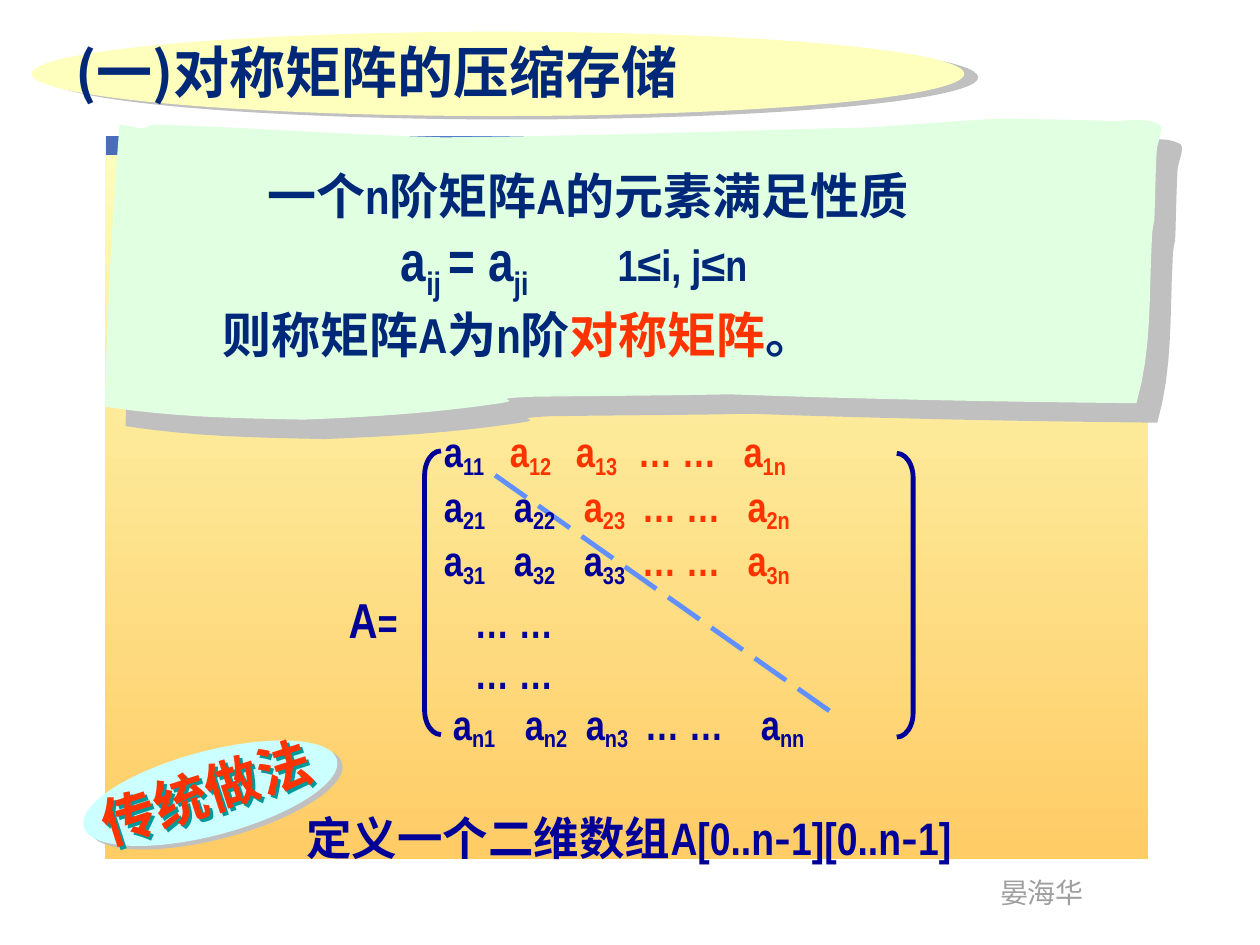
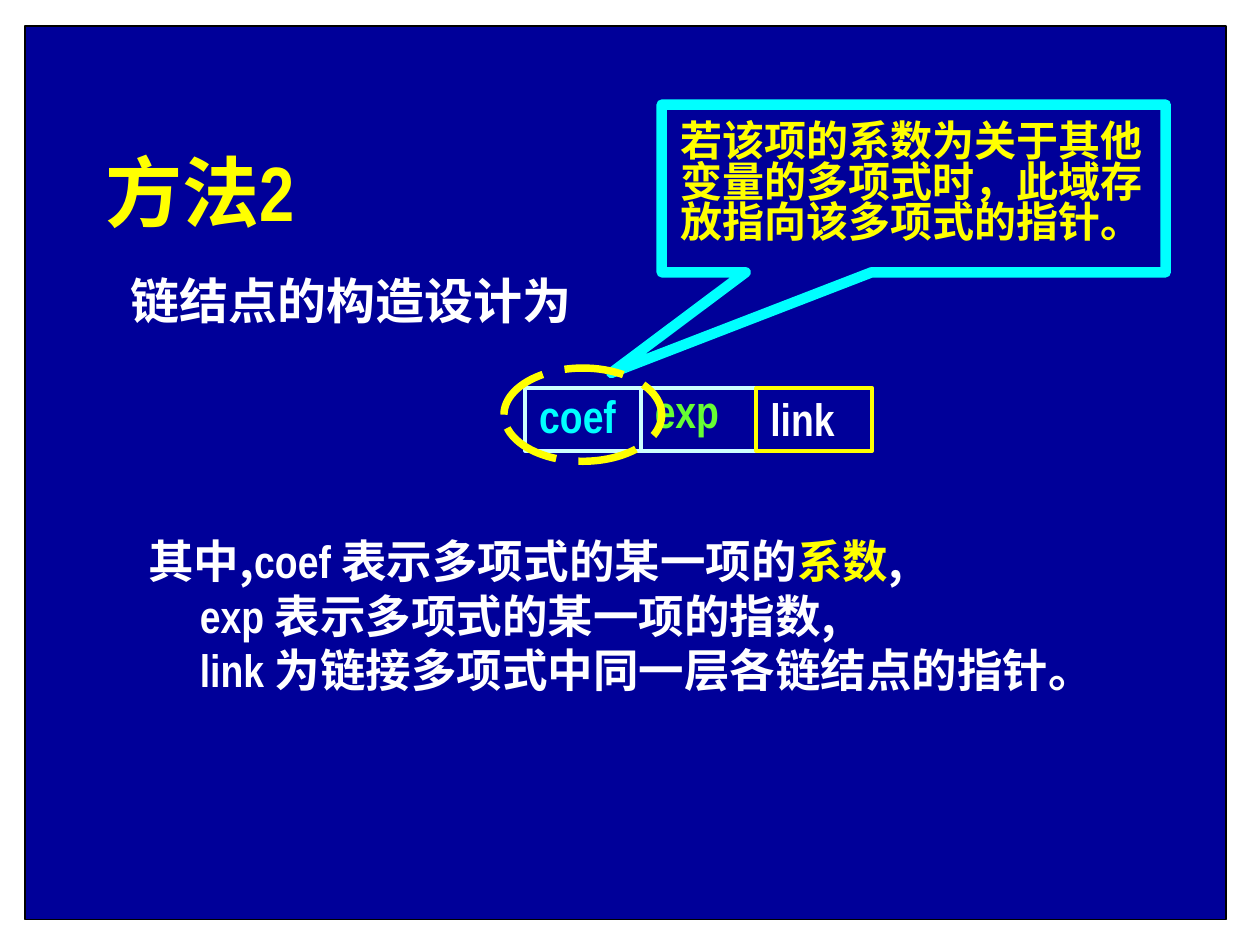
from lxml import etree
from pptx import Presentation, util as u
from pptx.dml.color import RGBColor
from pptx.enum import dml, shapes, text
from pptx.oxml import ns

NAVY = RGBColor(0x00, 0x28, 0x78)
BLUE = RGBColor(0x00, 0x00, 0x99)
DIAGONAL_BLUE = RGBColor(0x61, 0x8F, 0xFD)
RED = RGBColor(0xFF, 0x33, 0x00)
TEAL = RGBColor(0x00, 0x99, 0x99)
GREY = RGBColor(0x9F, 0x9F, 0x9F)
SILVER = RGBColor(0xC0, 0xC0, 0xC0)
CREAM = RGBColor(0xFF, 0xFF, 0xBD)
MINT = RGBColor(0xE1, 0xFF, 0xE1)
ICE = RGBColor(0xCC, 0xFF, 0xFF)
CYAN = RGBColor(0x00, 0xFF, 0xFF)
YELLOW = RGBColor(0xFF, 0xFF, 0x00)
GREEN = RGBColor(0x66, 0xFF, 0x33)
WHITE = RGBColor(0xFF, 0xFF, 0xFF)
BLACK = RGBColor(0x00, 0x00, 0x00)
PANEL_GRADIENT = (RGBColor(0xFC, 0xFE, 0xBC), RGBColor(0xFF, 0xCC, 0x66))
BAND_GRADIENT = (RGBColor(0x49, 0x6D, 0xB6), RGBColor(0x66, 0x99, 0xFF))
LATIN, HAN = "Arial Narrow", "Noto Sans CJK SC"
PRESET = shapes.MSO_SHAPE


def style(shape, fill=None, line=None, width=1, dash=None, shadow=None):
    """Set fill, outline and shadow; shadow is (colour, distance in pt, angle)."""
    shape.shadow.inherit = False
    if fill is None:
        shape.fill.background()
    else:
        shape.fill.solid()
        shape.fill.fore_color.rgb = fill
    if line is None:
        shape.line.fill.background()
    else:
        shape.line.color.rgb = line
        shape.line.width = u.Pt(width)
        shape.line.dash_style = dash
    if shadow:
        colour, distance, angle = shadow
        effects = shape._element.spPr.find(ns.qn("a:effectLst"))
        cast = etree.SubElement(effects, ns.qn("a:outerShdw"), blurRad="0",
                                dist=str(u.Pt(distance)), dir=str(angle * 60000),
                                algn="ctr", rotWithShape="0")
        etree.SubElement(cast, ns.qn("a:srgbClr"), val=str(colour))
    return shape


def write(slide, at, paragraphs, size=26, color=WHITE, bold=True, font=LATIN,
          spacing=None, before=0, tabs=()):
    """Add a text box; a run is a string or (string, format), tabs holds stops in cm per paragraph."""
    box = slide.shapes.add_textbox(*map(u.Cm, at))
    frame = box.text_frame
    frame.word_wrap = True
    for number, runs in enumerate(paragraphs):
        paragraph = frame.paragraphs[0] if number == 0 else frame.add_paragraph()
        if spacing:
            paragraph.line_spacing = spacing
        if before and number == len(paragraphs) - 1:
            paragraph.space_before = u.Pt(before)
        if number < len(tabs) and tabs[number]:
            stops = etree.SubElement(paragraph._p.get_or_add_pPr(), ns.qn("a:tabLst"))
            for stop in tabs[number]:
                etree.SubElement(stops, ns.qn("a:tab"), pos=str(u.Cm(stop)), algn="l")
        for item in runs:
            words, own = (item, {}) if isinstance(item, str) else item
            run = paragraph.add_run()
            run.text = words
            run.font.size = u.Pt(own.get("size", size))
            run.font.bold = bold
            run.font.color.rgb = own.get("color", color)
            run.font.name = own.get("font", font)
            properties = run._r.get_or_add_rPr()
            etree.SubElement(properties, ns.qn("a:ea"), typeface=HAN)
            if "base" in own:
                properties.set("baseline", str(own["base"] * 1000))
    return box


deck = Presentation()
deck.slide_width, deck.slide_height = u.Cm(25.4), u.Cm(19.05)
blank = deck.slide_layouts[6]

# Slide 1: symmetric matrix
matrix_slide = deck.slides.add_slide(blank)
add = matrix_slide.shapes.add_shape
for at, colours, angle in [((2.11, 2.79, 21.03, 14.53), PANEL_GRADIENT, 270),
                           ((2.13, 2.74, 21.01, 0.38), BAND_GRADIENT, 0)]:
    backdrop = style(add(PRESET.RECTANGLE, *map(u.Cm, at)))
    backdrop.fill.gradient()
    backdrop.fill.gradient_angle = angle
    for stop, colour in zip(backdrop.fill.gradient_stops, colours):
        stop.color.rgb = colour
write(matrix_slide, (19.91, 17.53, 2.6, 0.94), [["晏海华"]], size=16, color=GREY, bold=False)

# Wavy sheet: each row holds two control points and the end of one curve
sheet_start = (3.1, 2.51)
sheet_curves = [
    (5.05, 2.57, 6.99, 2.72, 8.94, 2.77), (12.29, 2.74, 14.43, 2.64, 17.53, 2.57),
    (18.42, 2.51, 19.3, 2.44, 20.19, 2.39), (20.93, 2.41, 21.64, 2.41, 22.38, 2.44),
    (22.71, 2.46, 23.06, 2.34, 23.37, 2.51), (23.47, 2.59, 23.34, 2.84, 23.32, 3.02),
    (23.29, 3.51, 23.29, 3.99, 23.27, 4.45), (23.24, 4.57, 23.22, 4.72, 23.22, 4.85),
    (23.16, 6.02, 23.22, 7.04, 22.91, 8.13), (20.09, 8.1, 17.48, 8.05, 14.71, 7.95),
    (13.36, 7.98, 12.01, 7.98, 10.67, 8.0), (9.7, 8.05, 10.64, 8.05, 10.08, 8.13),
    (8.76, 8.33, 7.44, 8.41, 6.12, 8.46), (4.62, 8.43, 3.51, 8.41, 2.11, 8.2),
    (2.16, 6.27, 2.26, 4.42, 2.41, 2.51), (2.97, 2.59, 2.74, 2.64, 3.1, 2.51),
]
STEPS = 8
outline, start = [], sheet_start
for x1, y1, x2, y2, x3, y3 in sheet_curves:
    for step in range(1, STEPS + 1):
        t = step / STEPS
        weights = ((1 - t) ** 3, 3 * t * (1 - t) ** 2, 3 * t ** 2 * (1 - t), t ** 3)
        outline.append(tuple(u.Cm(sum(w * c for w, c in zip(weights, axis)))
                             for axis in ((start[0], x1, x2, x3), (start[1], y1, y2, y3))))
    start = (x3, y3)
sheet = matrix_slide.shapes.build_freeform(*map(u.Cm, sheet_start))
sheet.add_line_segments(outline, close=True)
style(sheet.convert_to_shape(), MINT, shadow=(SILVER, 16.3, 43))

sub = {"size": 32, "base": -25}
write(matrix_slide, (4.24, 3.3, 18.42, 4.06), [
    ["\t一个", "n", "阶矩阵", "A", "的元素满足性质"],
    [("\ta", {"size": 32}), ("ij ", sub), ("= a", {"size": 32}), ("ji", sub),
     ("\t1≤i, j≤n", {"size": 25})],
    ["则称矩阵", "A", "为", "n", "阶", ("对称矩阵", {"color": RED}), "。"],
], size=28, color=NAVY, spacing=0.95, before=6, tabs=[(0.9,), (3.59, 7.96)])

diagonal = matrix_slide.shapes.add_connector(
    shapes.MSO_CONNECTOR.STRAIGHT, *map(u.Cm, (9.98, 9.58, 16.89, 14.45)))
diagonal.line.color.rgb = DIAGONAL_BLUE
diagonal.line.width = u.Pt(2.75)
diagonal.line.dash_style = dml.MSO_LINE.LONG_DASH
etree.SubElement(diagonal._element.spPr, ns.qn("a:effectLst"))

title_oval = add(PRESET.OVAL, *map(u.Cm, (0.64, 0.64, 18.8, 1.7)))
style(title_oval, CREAM, shadow=(SILVER, 8.2, 14))
write(matrix_slide, (1.27, 0.64, 17.75, 1.63), [["(一)对称矩阵的压缩存储"]],
      size=32, color=NAVY, font=HAN)

hyphen = ("-", {"font": HAN})
write(matrix_slide, (5.92, 16.21, 14.81, 1.37),
      [["定义一个二维数组", "A[0..n", hyphen, "1][0..n", hyphen, "1]"]], color=BLUE)
method_oval = style(add(PRESET.OVAL, *map(u.Cm, (1.6, 15.14, 5.28, 1.7))),
                    ICE, shadow=(SILVER, 3.6, 34))
method_oval.rotation = 345.2
method = write(matrix_slide, (1.7, 15.01, 5.89, 1.57), [["传统做法"]], size=31, color=RED)
style(method, shadow=(TEAL, 2.5, 45)).rotation = 342.1

# Matrix rows: tab stops, column indices, number of entries on or below the diagonal
DOTS = "… …"
entry_rows = [
    ((1.92, 3.25, 4.58, 5.83, 7.96), "1", 1),
    ((1.92, 3.33, 4.74, 5.91, 8.04), "2", 2),
    ((1.92, 3.33, 4.74, 5.91, 8.04), "3", 3),
    ((2.1, 3.55, 4.78, 5.97, 8.31), "n", 5),
]
lines = []
for stops, row, lower in entry_rows:
    runs = []
    for place, column in enumerate(("1", "2", "3", None, "n")):
        colour = {"color": BLUE if place < lower else RED}
        if column is None:
            runs.append(("\t" + DOTS, colour))
        else:
            runs += [("\ta", colour), (row + column, {**colour, "base": -18})]
    lines.append((stops, runs))
lines[3:3] = [((2.54,), [("A", {"size": 28}), "=\t" + DOTS]), ((2.54,), ["\t" + DOTS])]
write(matrix_slide, (6.78, 8.46, 12, 6.58), [runs for stops, runs in lines],
      size=24, color=BLUE, tabs=[stops for stops, runs in lines])
for left, top, flipped in [(8.56, 9.09, False), (18.08, 9.14, True)]:
    bracket = add(PRESET.LEFT_BRACKET, *map(u.Cm, (left, top, 0.33, 5.72)))
    style(bracket, line=BLUE, width=2.75).adjustments[0] = 1.5
    if flipped:
        bracket._element.spPr.find(ns.qn("a:xfrm")).set("flipH", "1")

# Slide 2: node of the linked list
node_slide = deck.slides.add_slide(blank)
add = node_slide.shapes.add_shape
style(add(PRESET.RECTANGLE, *map(u.Cm, (0.51, 0.53, 24.21, 18.01))), BLUE, line=BLACK)

FIELD_LEFT, FIELD_WIDTH = 10.59, 2.33
fields = [("coef", CYAN, ICE, 7.7), ("exp", GREEN, ICE, 7.59), ("link", WHITE, YELLOW, 7.75)]
for place, (name, colour, border, top) in enumerate(fields):
    left = FIELD_LEFT + place * FIELD_WIDTH
    cell = add(PRESET.RECTANGLE, *map(u.Cm, (left, 7.82, FIELD_WIDTH, 1.27)))
    style(cell, line=border, width=2.25)
    write(node_slide, (left + 0.03, top, FIELD_WIDTH, 1.37), [[name]], color=colour)

write(node_slide, (2.39, 5.33, 10, 1.45), [["链结点的构造设计为"]], size=28)
comma = (",", {"font": HAN})
write(node_slide, (2.74, 10.62, 22.66, 3.58), [
    ["其中", comma, "coef ", "表示多项式的某一项的", ("系数", {"color": YELLOW}), comma],
    ["\texp ", "表示多项式的某一项的指数", comma],
    ["\tlink ", "为链接多项式中同一层各链结点的指针。"],
], tabs=[(), (1.04,), (1.04,)])
write(node_slide, (1.88, 2.79, 5.82, 2.13), [["方法2"]], size=44, color=YELLOW)

callout = add(PRESET.RECTANGULAR_CALLOUT, *map(u.Cm, (13.34, 2.11, 10.16, 3.38)))
style(callout, line=CYAN, width=6)
callout.adjustments[0], callout.adjustments[1] = -0.6, 1.1
write(node_slide, (13.46, 2.39, 10.16, 2.72),
      [["若该项的系数为关于其他"], ["变量的多项式时，此域存"], ["放指向该多项式的指针。"]],
      size=24, color=YELLOW, spacing=0.8)
coef_ring = add(PRESET.OVAL, *map(u.Cm, (10.16, 7.42, 3.18, 1.88)))
style(coef_ring, line=YELLOW, width=4.25, dash=dml.MSO_LINE.LONG_DASH)

deck.save("out.pptx")
